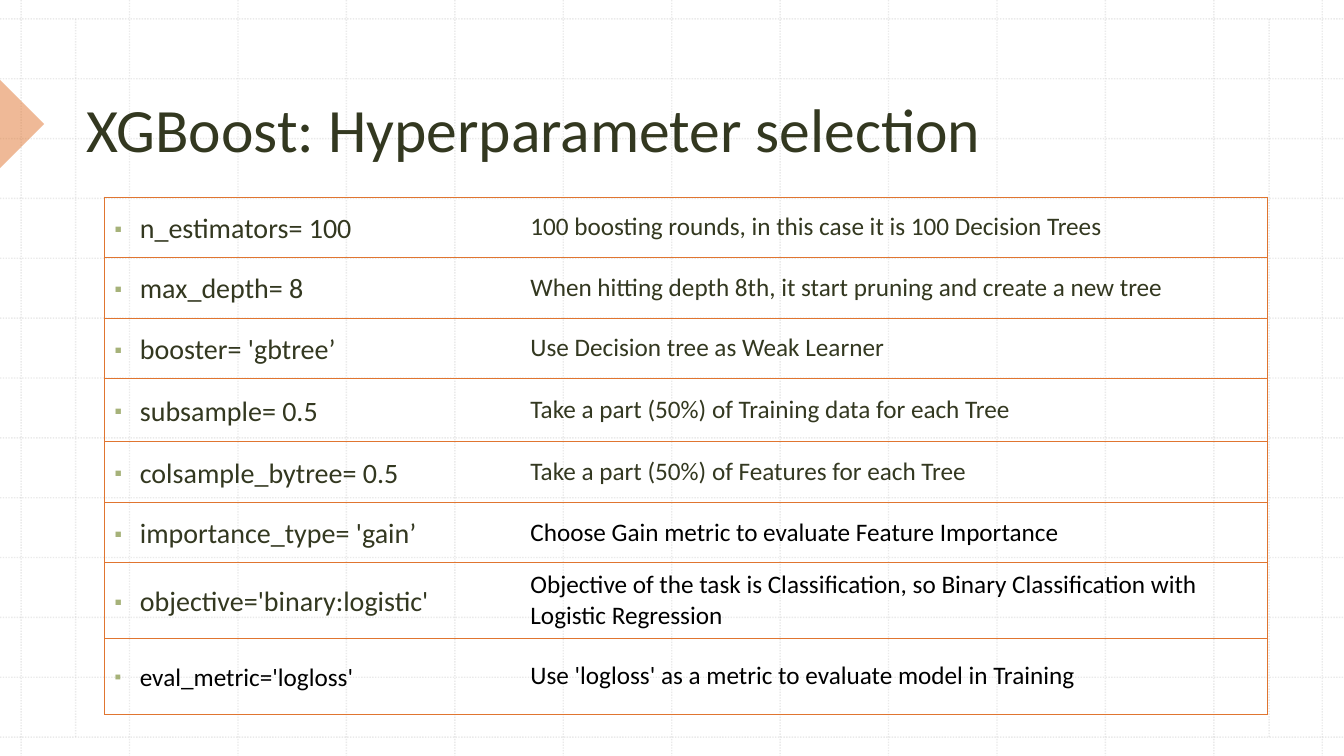
from lxml import etree
from pptx import Presentation
from pptx.dml.color import RGBColor
from pptx.enum.dml import MSO_LINE
from pptx.enum.shapes import MSO_CONNECTOR, MSO_SHAPE
from pptx.enum.text import MSO_ANCHOR
from pptx.oxml.ns import qn
from pptx.util import Pt

OLIVE = RGBColor(0x33, 0x38, 0x20)
BLACK = RGBColor(0, 0, 0)
ORANGE = RGBColor(0xE0, 0x75, 0x30)
SAGE = RGBColor(0xA6, 0xB2, 0x79)
GRID_GRAY = RGBColor(0xBC, 0xBC, 0xBC)
FONT = "Calibri"
WIDTH, HEIGHT = 960, 540
GRID_TOP, GRID_BOTTOM = 13.5, 526.5

COLUMN_WIDTHS = (297, 533.5)
# parameter, its size and colour, explanation, its colour, row height
ROWS = [
    ("n_estimators= 100", 20, OLIVE,
     "100 boosting rounds, in this case it is 100 Decision Trees", OLIVE, 43.2),
    ("max_depth= 8", 20, OLIVE,
     "When hitting depth 8th, it start pruning and create a new tree", OLIVE, 43.2),
    ("booster= 'gbtree’", 20, OLIVE,
     "Use Decision tree as Weak Learner", OLIVE, 43.2),
    ("subsample= 0.5", 20, OLIVE,
     "Take a part (50%) of Training data for each Tree", OLIVE, 45.2),
    ("colsample_bytree= 0.5", 20, OLIVE,
     "Take a part (50%) of Features for each Tree", OLIVE, 43.2),
    ("importance_type= 'gain’", 20, OLIVE,
     "Choose Gain metric to evaluate Feature Importance", BLACK, 43.2),
    ("objective='binary:logistic'", 20, OLIVE,
     "Objective of the task is Classification, so Binary Classification with "
     "Logistic Regression", BLACK, 54),
    ("eval_metric='logloss'", 18, BLACK,
     "Use 'logloss' as a metric to evaluate model in Training", BLACK, 54),
]


def set_alpha(fill_parent, percent):
    color = fill_parent.find(qn("a:solidFill"))[0]
    etree.SubElement(color, qn("a:alpha"), val=str(percent * 1000))


def add_run(p, text, size, color):
    r = p.add_run()
    r.text = text
    r.font.name = FONT
    r.font.size = Pt(size)
    r.font.color.rgb = color


def add_grid_line(s, x1, y1, x2, y2):
    line = s.shapes.add_connector(MSO_CONNECTOR.STRAIGHT, Pt(x1), Pt(y1), Pt(x2), Pt(y2))
    line.line.color.rgb = GRID_GRAY
    line.line.width = Pt(1)
    line.line.dash_style = MSO_LINE.ROUND_DOT
    sp_pr = line._element.spPr
    set_alpha(sp_pr.find(qn("a:ln")), 30)
    etree.SubElement(sp_pr, qn("a:effectLst"))


def add_grid(s):
    for i in range(13):
        x = 15.1 + 77.45 * i
        y = GRID_TOP + 42.75 * i
        add_grid_line(s, x, 0, x, HEIGHT)
        add_grid_line(s, 0, y, WIDTH, y)
    for x in (54, 906.5):
        add_grid_line(s, x, GRID_TOP, x, GRID_BOTTOM)


def add_edge_marker(s):
    sp = s.shapes.add_shape(MSO_SHAPE.RIGHT_TRIANGLE, Pt(-22.3), Pt(66.3), Pt(44.6), Pt(44.6))
    sp.rotation = 225
    sp.shadow.inherit = False
    sp.fill.solid()
    sp.fill.fore_color.rgb = ORANGE
    set_alpha(sp._element.spPr, 50)
    sp.line.fill.background()


def add_title(s, text):
    tf = s.shapes.add_textbox(Pt(54.7), Pt(5.8), Pt(813), Pt(113.7)).text_frame
    tf.word_wrap = True
    tf.vertical_anchor = MSO_ANCHOR.BOTTOM
    tf.margin_bottom = Pt(2)
    add_run(tf.paragraphs[0], text, 44, OLIVE)


def set_borders(cell, visible):
    """Draw the sides named in visible (of L, R, T, B) and hide the others."""
    tc_pr = cell._tc.get_or_add_tcPr()
    for i, side in enumerate("LRTB"):
        ln = etree.Element(qn(f"a:ln{side}"), w=str(Pt(0.5)))
        if side in visible:
            fill = etree.SubElement(ln, qn("a:solidFill"))
            etree.SubElement(fill, qn("a:srgbClr"), val=str(ORANGE))
        else:
            etree.SubElement(ln, qn("a:noFill"))
        tc_pr.insert(i, ln)


def set_bullet(p):
    p_pr = p._p.get_or_add_pPr()
    p_pr.set("marL", str(Pt(18)))
    p_pr.set("indent", str(Pt(-18)))
    color = etree.SubElement(p_pr, qn("a:buClr"))
    etree.SubElement(color, qn("a:srgbClr"), val=str(SAGE))
    etree.SubElement(p_pr, qn("a:buSzPct"), val="75000")
    etree.SubElement(p_pr, qn("a:buFont"), typeface=FONT)
    etree.SubElement(p_pr, qn("a:buChar"), char="▪")


def fill_cell(cell, text, size, color, borders):
    cell.fill.background()
    cell.vertical_anchor = MSO_ANCHOR.MIDDLE
    set_borders(cell, borders)
    p = cell.text_frame.paragraphs[0]
    add_run(p, text, size, color)
    return p


def add_parameter_table(s):
    height = sum(row[-1] for row in ROWS)
    table = s.shapes.add_table(len(ROWS), 2, Pt(74.7), Pt(140.7),
                               Pt(sum(COLUMN_WIDTHS)), Pt(height)).table
    table.first_row = table.horz_banding = False
    for column, width in zip(table.columns, COLUMN_WIDTHS):
        column.width = Pt(width)
    for i, (name, size, name_color, meaning, meaning_color, row_height) in enumerate(ROWS):
        table.rows[i].height = Pt(row_height)
        p = fill_cell(table.cell(i, 0), name, size, name_color, "LTB")
        p.line_spacing = 1.1
        p.space_before = Pt(10)
        set_bullet(p)
        fill_cell(table.cell(i, 1), meaning, 18, meaning_color, "RTB")


def main():
    prs = Presentation()
    prs.slide_width, prs.slide_height = Pt(WIDTH), Pt(HEIGHT)
    s = prs.slides.add_slide(prs.slide_layouts[6])
    add_grid(s)
    add_edge_marker(s)
    add_title(s, "XGBoost: Hyperparameter selection")
    add_parameter_table(s)
    prs.save("out.pptx")


if __name__ == "__main__":
    main()
